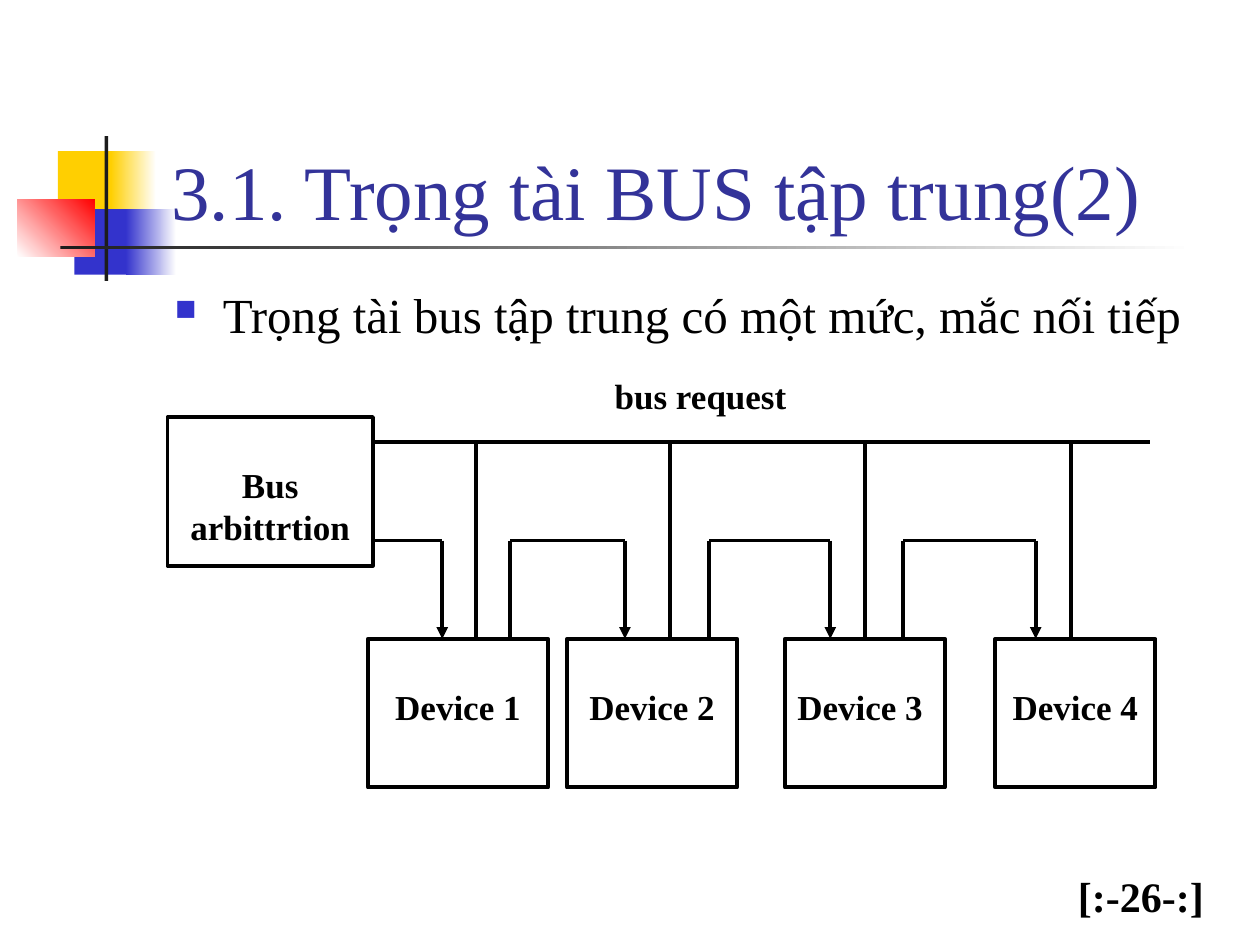
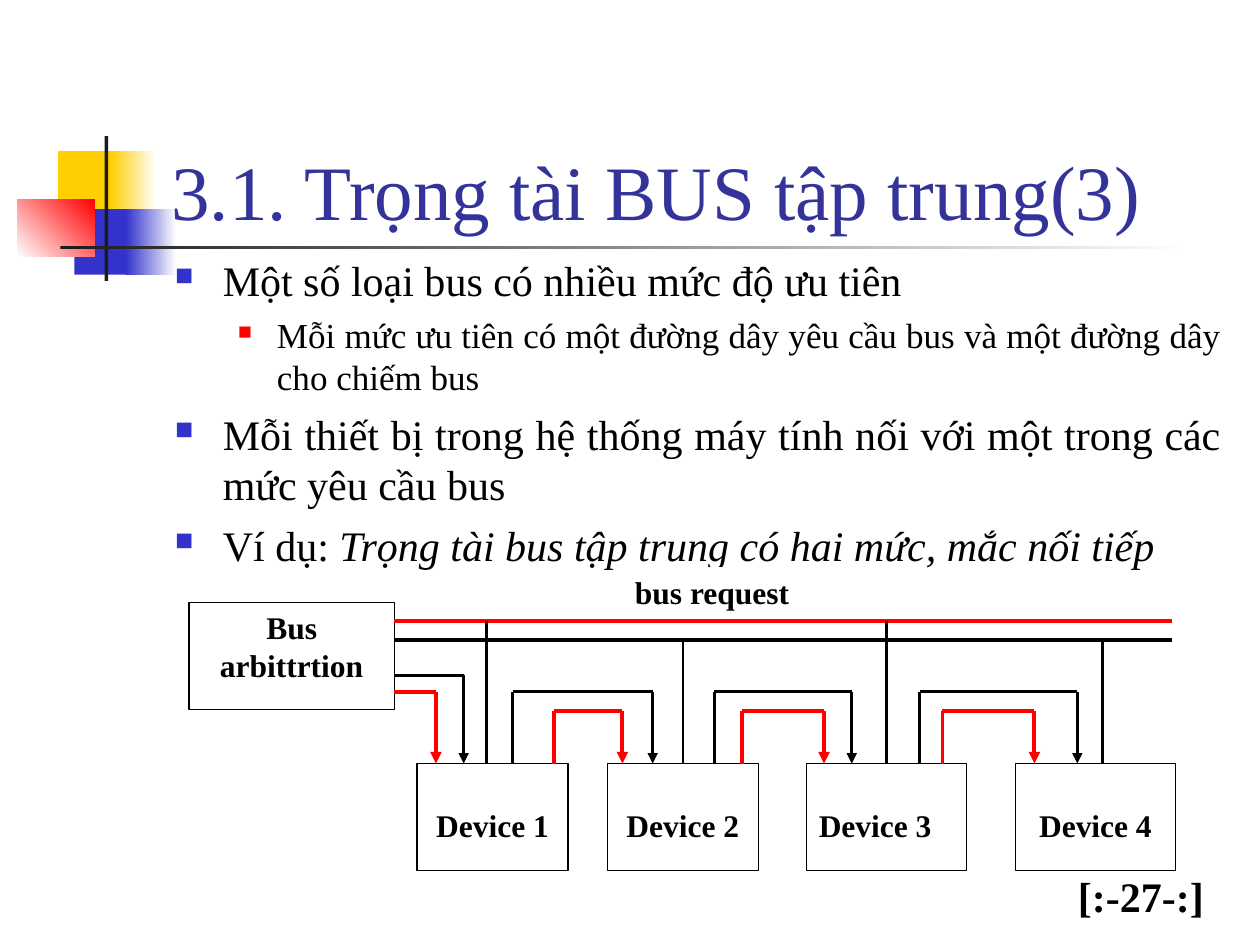
"""Builds two slides on centralised bus arbitration with daisy-chained devices."""
from lxml import etree
from pptx import Presentation, util as u
from pptx.dml.color import RGBColor
from pptx.enum import shapes, text
from pptx.oxml import ns

COLOURS = {"black": "000000", "white": "FFFFFF", "red": "FF0000", "blue": "3333CC",
           "navy": "333399", "yellow": "FFCF01", "ink": "1C1C1C"}
FONT = "Times New Roman"
COLUMNS = 100
SIZE = (u.Inches(10), u.Inches(7.5))
CELL = SIZE[0] / COLUMNS

EMBLEM = [
    ((4.6, 12, 4.8, 5.2), ("yellow",), 0),
    ((8.8, 12, 3.6, 5.2), ("yellow", "white"), 0),
    ((5.9, 16.6, 4.6, 5.2), ("blue",), 0),
    ((10, 16.6, 4, 5.2), ("blue", "white"), 0),
    ((1.4, 15.8, 6.1, 4.6), ("white", "red"), 45),
    ((8.3, 10.8, 0.3, 11.5), ("ink",), 0),
    ((4.8, 19.5, 90, 0.3), ("ink", "white"), 0),
]
TITLE_AREA = (12.6, 6.7, 85.2, 12.5)
FOOTER_AREA = (82.2, 68.6, 16.7, 5)
BULLETS = [
    {"colour": "blue", "percent": 60, "indent": 3.8, "hang": 3.8},
    {"colour": "red", "percent": 55, "indent": 8.1, "hang": 3.1},
]
DEVICE_ALIGNS = ("CENTER", "CENTER", "LEFT", "CENTER")

PAGES = [
    {
        "title": "3.1. Trọng tài BUS tập trung(2)",
        "footer": "[:-26-:]",
        "body_area": (12.9, 22.1, 85, 6),
        "body": [(0, 28, [("Trọng tài bus tập trung có một mức, mắc nối tiếp", False)])],
        "size": 20,
        "border": 2.25,
        "label_area": (47.8, 29.2, 22.2, 3.9),
        "arbiter": (13.3, 33.1, 16.3, 11.8),
        "arbiter_inset": 3.7,
        "device_inset": 3.7,
        "device_row": (50.7, 11.8),
        "devices": [(29.2, 14.3), (45, 13.5), (62.3, 12.7), (79, 12.7)],
        "bus_end": 91.3,
        "buses": [("black", 35.1, 2.25, [37.8, 53.2, 68.8, 85])],
        "grants": [
            {"colour": "black", "weight": 2.25, "feed": (42.9, 35.1), "level": 42.9,
             "hops": [(40.5, 49.6), (56.3, 65.9), (71.7, 82.2)]},
        ],
    },
    {
        "title": "3.1. Trọng tài BUS tập trung(3)",
        "footer": "[:-27-:]",
        "body_area": (12.9, 19.7, 85, 26),
        "body": [
            (0, 24, [("Một số loại bus có nhiều mức độ ưu tiên", False)]),
            (1, 20, [("Mỗi mức ưu tiên có một đường dây yêu cầu bus và một đường dây "
                      "cho chiếm bus", False)]),
            (0, 24, [("Mỗi thiết bị trong hệ thống máy tính nối với một trong các "
                      "mức yêu cầu bus", False)]),
            (0, 24, [("Ví dụ: ", False),
                     ("Trọng tài bus tập trung có hai mức, mắc nối tiếp", True)]),
        ],
        "size": 18,
        "border": 0.75,
        "label_area": (49.4, 45, 14.5, 2.8),
        "arbiter": (15, 47.8, 16.3, 8.5),
        "arbiter_inset": 0.5,
        "device_inset": 3.4,
        "device_row": (60.6, 8.5),
        "devices": [(33.1, 12), (48.2, 12), (64, 12.7), (80.6, 12.7)],
        "bus_end": 93,
        "buses": [("red", 49.3, 1.5, [38.6, 70.3]), ("black", 50.8, 1.5, [54.2, 87.5])],
        "grants": [
            {"colour": "black", "weight": 1.5, "feed": (53.6, 36.8), "level": 54.9,
             "hops": [(40.7, 51.8), (56.7, 67.6), (73, 85.5)]},
            {"colour": "red", "weight": 2.25, "feed": (54.9, 34.6), "level": 56.4,
             "hops": [(44, 49.4), (58.9, 65.4), (74.8, 82.1)]},
        ],
    },
]


def rgb(name):
    return RGBColor.from_string(COLOURS[name])


def cells(*values):
    return [u.Emu(round(value * CELL)) for value in values]


def apply(target, **values):
    for name, value in values.items():
        setattr(target, name, value)


def style(font, size, colour="black", **values):
    apply(font, name=FONT, size=u.Pt(size), **values)
    font.color.rgb = rgb(colour)


def add_block(page, area, fill, border=None, angle=0):
    block = page.shapes.add_shape(shapes.MSO_SHAPE.RECTANGLE, *cells(*area))
    block.shadow.inherit = False
    if len(fill) > 1:
        block.fill.gradient()
        block.fill.gradient_angle = angle
        for stop, colour in zip(block.fill.gradient_stops, fill):
            stop.color.rgb = rgb(colour)
    else:
        block.fill.solid()
        block.fill.fore_color.rgb = rgb(fill[0])
    if border:
        block.line.color.rgb = rgb("black")
        block.line.width = u.Pt(border)
    else:
        block.line.fill.background()
    return block


def write(box, words, size, align, inset=0.5):
    frame = box.text_frame
    apply(frame, word_wrap=True, vertical_anchor=text.MSO_ANCHOR.TOP,
          margin_top=cells(inset)[0])
    para = frame.paragraphs[0]
    para.text = words
    para.alignment = text.PP_ALIGN[align]
    style(para.runs[0].font, size, bold=True)


def add_line(page, start, end, colour, weight, arrow=False):
    line = page.shapes.add_connector(shapes.MSO_CONNECTOR.STRAIGHT, *cells(*start, *end))
    line.line.color.rgb = rgb(colour)
    line.line.width = u.Pt(weight)
    if arrow:
        etree.SubElement(line.line._get_or_add_ln(), ns.qn("a:tailEnd"), type="triangle")
    etree.SubElement(line.element.spPr, ns.qn("a:effectLst"))
    return line


def add_bullet(para, bullet):
    indent, hang = cells(bullet["indent"], bullet["hang"])
    properties = para._p.get_or_add_pPr()
    properties.set("marL", str(indent))
    properties.set("indent", str(-hang))
    colour = etree.SubElement(properties, ns.qn("a:buClr"))
    etree.SubElement(colour, ns.qn("a:srgbClr"), val=COLOURS[bullet["colour"]])
    etree.SubElement(properties, ns.qn("a:buSzPct"), val=str(bullet["percent"] * 1000))
    etree.SubElement(properties, ns.qn("a:buChar"), char="■")


def add_title(page, words):
    title = page.shapes.title
    apply(title, **dict(zip(("left", "top", "width", "height"), cells(*TITLE_AREA))))
    frame = title.text_frame
    apply(frame, text=words, vertical_anchor=text.MSO_ANCHOR.BOTTOM,
          auto_size=text.MSO_AUTO_SIZE.NONE)
    para = frame.paragraphs[0]
    para.alignment = text.PP_ALIGN.JUSTIFY
    style(para.runs[0].font, 44, "navy")


def add_body(page, area, items):
    frame = page.shapes.add_textbox(*cells(*area)).text_frame
    frame.word_wrap = True
    for index, (level, size, spans) in enumerate(items):
        para = frame.add_paragraph() if index else frame.paragraphs[0]
        add_bullet(para, BULLETS[level])
        apply(para, level=level, alignment=text.PP_ALIGN.JUSTIFY,
              space_before=u.Pt(size / 4 if index else 0))
        style(para.font, size)
        for words, italic in spans:
            span = para.add_run()
            span.text = words
            style(span.font, size, italic=italic)


def add_diagram(page, plan):
    size, border = plan["size"], plan["border"]
    top, height = plan["device_row"]
    arbiter_edge = plan["arbiter"][0] + plan["arbiter"][2]
    write(add_block(page, plan["label_area"], ["white"]), "bus request", size, "LEFT")
    arbiter = add_block(page, plan["arbiter"], ["white"], border)
    write(arbiter, "Bus arbittrtion", size, "CENTER", plan["arbiter_inset"])

    centres = {}
    for number, ((left, width), align) in enumerate(zip(plan["devices"], DEVICE_ALIGNS), 1):
        device = add_block(page, (left, top, width, height), ["white"], border)
        write(device, f"Device {number}", size, align, plan["device_inset"])
        centres[left + width / 2] = device

    for colour, bus, weight, taps in plan["buses"]:
        add_line(page, (arbiter_edge, bus), (plan["bus_end"], bus), colour, 2.25)
        for tap in taps:
            centre = min(centres, key=lambda middle: abs(middle - tap))
            joined = abs(centre - tap) < 0.2
            column = centre if joined else tap
            line = add_line(page, (column, bus), (column, top), "black", weight)
            if joined:
                line.end_connect(centres[centre], 0)

    for grant in plan["grants"]:
        pen = grant["colour"], grant["weight"]
        feed, first = grant["feed"]
        hops = [(arbiter_edge, first, feed)]
        hops += [(*hop, grant["level"]) for hop in grant["hops"]]
        for index, (start, end, level) in enumerate(hops):
            if index:
                add_line(page, (start, top), (start, level), *pen)
            add_line(page, (start, level), (end, level), *pen)
            add_line(page, (end, level), (end, top), *pen, arrow=True)


def add_emblem(page):
    for area, fill, angle in EMBLEM:
        block = add_block(page, area, fill, angle=angle)
        page.slide_layout.shapes.element.append(block.element)


def main():
    deck = Presentation()
    deck.slide_width, deck.slide_height = SIZE
    layout = deck.slide_layouts[5]
    for index, plan in enumerate(PAGES):
        page = deck.slides.add_slide(layout)
        if index == 0:
            add_emblem(page)
        add_title(page, plan["title"])
        add_body(page, plan["body_area"], plan["body"])
        add_diagram(page, plan)
        footer = page.shapes.add_textbox(*cells(*FOOTER_AREA))
        write(footer, plan["footer"], 24, "CENTER")
    deck.save("out.pptx")


if __name__ == "__main__":
    main()
